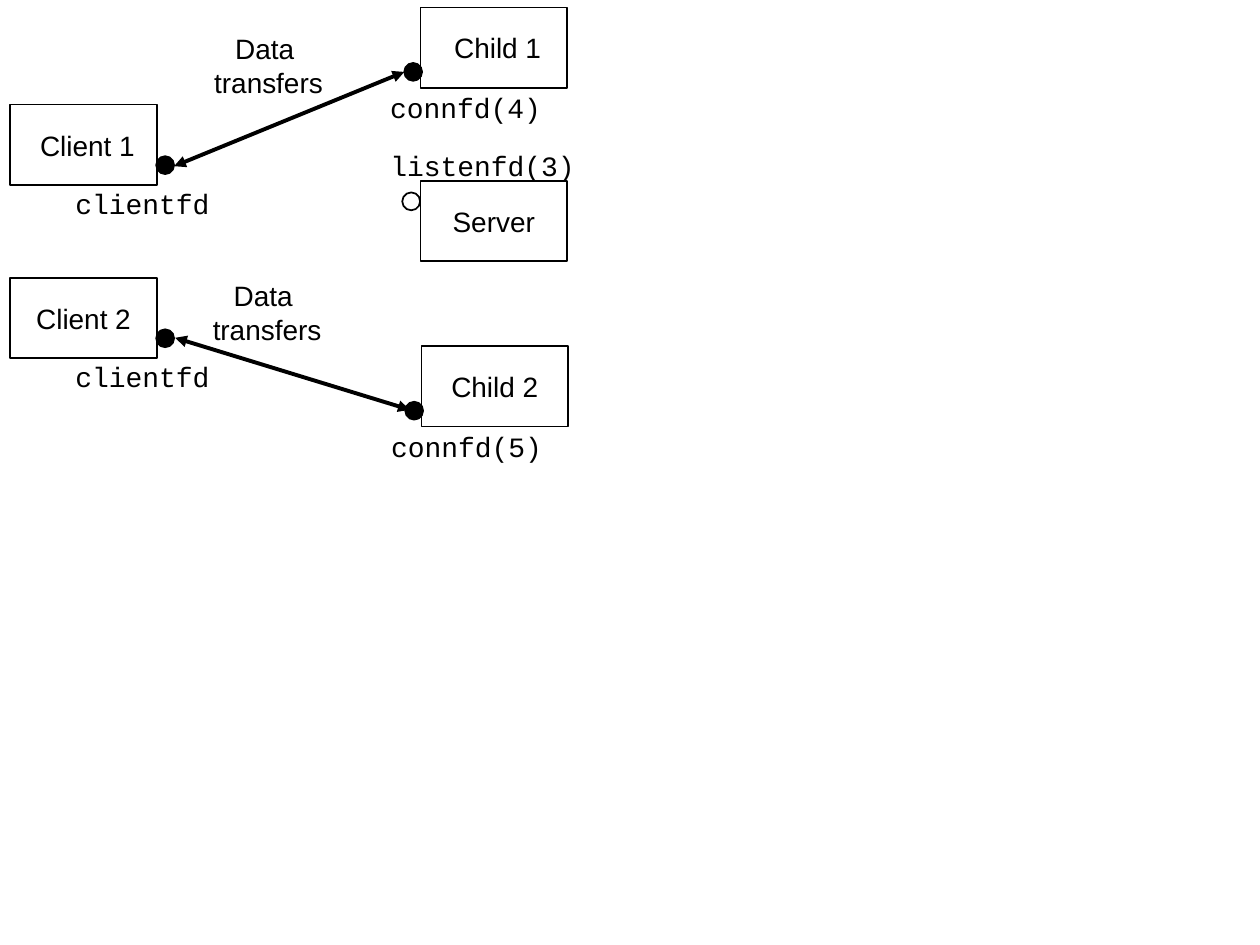
from lxml import etree
from pptx import Presentation
from pptx.dml.color import RGBColor
from pptx.enum.shapes import MSO_CONNECTOR, MSO_SHAPE
from pptx.enum.text import MSO_ANCHOR, PP_ALIGN
from pptx.oxml.ns import qn
from pptx.util import Cm, Pt

RECT, OVAL = MSO_SHAPE.RECTANGLE, MSO_SHAPE.OVAL
LINE = MSO_CONNECTOR.STRAIGHT
MIDDLE, CENTER = MSO_ANCHOR.MIDDLE, PP_ALIGN.CENTER
BLACK, WHITE = "000000", "FFFFFF"
BOX_W, BOX_H, DOT = 2.95, 1.62, 0.36


def paint(form, color):
    form.solid()
    form.fore_color.rgb = RGBColor.from_string(color)


def write(shape, text, font):
    frame = shape.text_frame
    frame.text = text
    frame.word_wrap = False
    frame.margin_left = frame.margin_right = 0
    frame.vertical_anchor = MIDDLE
    for par in frame.paragraphs:
        par.alignment = CENTER
        for run in par.runs:
            run.font.name = font
            run.font.size = Pt(16)
            paint(run.font.fill, BLACK)


prs = Presentation()
prs.slide_width, prs.slide_height = Cm(25.4), Cm(19.05)
shapes = prs.slides.add_slide(prs.slide_layouts[6]).shapes

# Dot and label offsets from the box corner, label width, dot fill
client = (2.94, 1.04, 1.06, 1.52, 3.2, BLACK)
server = (-0.37, 0.23, -0.86, -0.79, 4.22, WHITE)
child = (-0.33, 1.12, -0.86, 1.55, 3.53, BLACK)

# Processes, each with its socket dot and descriptor label
nodes = [
    (" Client 1", "clientfd", 0.21, 2.11, client),
    ("Client 2", "clientfd", 0.21, 5.6, client),
    ("Server", "listenfd(3)", 8.48, 3.65, server),
    (" Child 1", "connfd(4)", 8.48, 0.15, child),
    ("Child 2", "connfd(5)", 8.5, 6.98, child),
]
for name, label, x, y, (dot_x, dot_y, tag_x, tag_y, tag_w, color) in nodes:
    box = shapes.add_shape(RECT, Cm(x), Cm(y), Cm(BOX_W), Cm(BOX_H))
    write(box, name, "Arial")
    dot = shapes.add_shape(OVAL, Cm(x + dot_x), Cm(y + dot_y), Cm(DOT), Cm(DOT))
    for shape, tone in ((box, WHITE), (dot, color)):
        shape.shadow.inherit = False
        paint(shape.fill, tone)
        paint(shape.line.fill, BLACK)
        shape.line.width = Pt(1)
    tag = shapes.add_textbox(Cm(x + tag_x), Cm(y + tag_y), Cm(tag_w), Cm(0.94))
    write(tag, label, "Courier New")

# Data transfers: two-headed arrow ends and caption corner
links = [
    (3.51, 3.35, 8.15, 1.45, 4.07, 0.5),
    (3.53, 6.81, 8.26, 8.26, 4.04, 5.48),
]
for x1, y1, x2, y2, left, top in links:
    link = shapes.add_connector(LINE, Cm(x1), Cm(y1), Cm(x2), Cm(y2))
    paint(link.line.fill, BLACK)
    link.line.width = Pt(2.25)
    props = link._element.spPr
    for end in ("a:headEnd", "a:tailEnd"):
        etree.SubElement(props.find(qn("a:ln")), qn(end), type="triangle")
    etree.SubElement(props, qn("a:effectLst"))
    note = shapes.add_textbox(Cm(left), Cm(top), Cm(2.69), Cm(1.63))
    write(note, "Data \ntransfers", "Arial")

prs.save("out.pptx")
